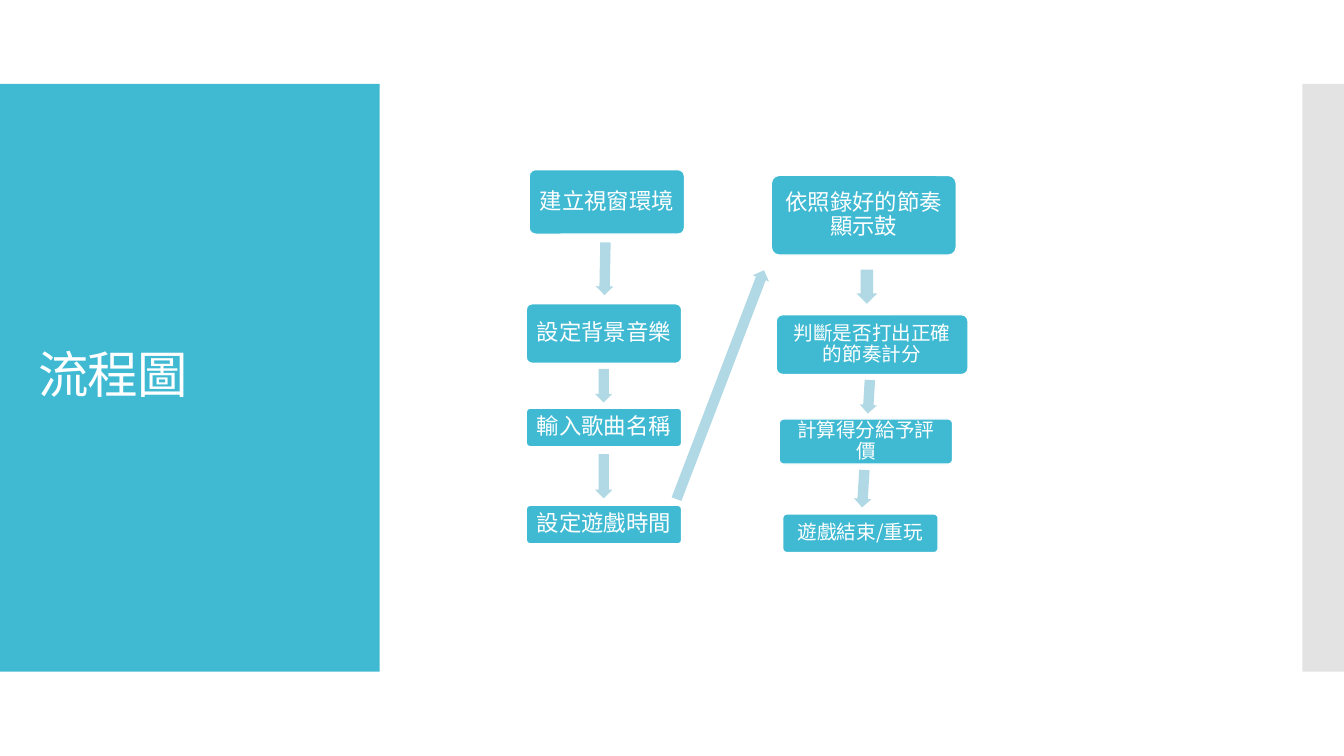
import pptx
import pptx.util
import pptx.dml.color
import pptx.enum.shapes
import pptx.enum.text
import pptx.oxml.ns
import lxml.etree

Pt = pptx.util.Pt
SHAPE = pptx.enum.shapes.MSO_SHAPE
ALIGN = pptx.enum.text.PP_ALIGN
TEAL, PALE_BLUE, GREY, WHITE = "40BAD2", "B0D9E5", "C8C8C8", "FFFFFF"


def add_filled(kind, left, top, width, height, fill):
    shape = slide.shapes.add_shape(kind, Pt(left), Pt(top), Pt(width), Pt(height))
    shape.shadow.inherit = False
    shape.fill.solid()
    shape.fill.fore_color.rgb = pptx.dml.color.RGBColor.from_string(fill)
    shape.line.fill.background()
    return shape


def write_text(shape, text, size, font, align, inset_x, inset_y):
    frame = shape.text_frame
    frame.text = text
    frame.word_wrap = True
    frame.vertical_anchor = pptx.enum.text.MSO_ANCHOR.MIDDLE
    frame.margin_left = frame.margin_right = Pt(inset_x)
    frame.margin_top = frame.margin_bottom = Pt(inset_y)
    para = frame.paragraphs[0]
    para.alignment = align
    para.line_spacing = 0.9
    span = para.runs[0]
    span.font.size = Pt(size)
    span.font.name = font
    span.font.color.rgb = pptx.dml.color.RGBColor.from_string(WHITE)
    east_asian = lxml.etree.SubElement(span.font._element, pptx.oxml.ns.qn("a:ea"))
    east_asian.set("typeface", "Noto Sans CJK SC")
    return span


deck = pptx.Presentation()
deck.slide_width = Pt(960)
deck.slide_height = Pt(540)
slide = deck.slides.add_slide(deck.slide_layouts[6])

add_filled(SHAPE.RECTANGLE, 0, 60, 271.2, 419.8, TEAL)
side_bar = add_filled(SHAPE.RECTANGLE, 930.2, 60, 29.8, 419.8, GREY)
bar_color = side_bar.fill._xPr.find(".//" + pptx.oxml.ns.qn("a:srgbClr"))
lxml.etree.SubElement(bar_color, pptx.oxml.ns.qn("a:alpha")).set("val", "50000")

title = slide.shapes.add_textbox(Pt(20.2), Pt(88.6), Pt(231.8), Pt(362.2))
title_span = write_text(title, "流程圖", 36, "Calibri", ALIGN.LEFT, 7.2, 3.6)
title_span.font._element.set("spc", "-60")

steps = [
    ("建立視窗環境", 16, 378, 121.2, 110.9, 46),
    ("設定背景音樂", 16, 376, 217, 110.9, 42.5),
    ("輸入歌曲名稱", 16, 376, 291.6, 110.9, 27.4),
    ("設定遊戲時間", 16, 376, 361, 110.9, 27.4),
    ("依照錄好的節奏顯示鼓", 16, 551, 125.3, 132, 56.9),
    ("判斷是否打出正確的節奏計分", 14, 554.6, 224.9, 136.8, 42.5),
    ("計算得分給予評價", 14, 556.6, 299.3, 123.8, 32.2),
    ("遊戲結束/重玩", 14, 559.2, 367.2, 110.9, 27.4),
]
for text, size, left, top, width, height in steps:
    box = add_filled(SHAPE.ROUNDED_RECTANGLE, left, top, width, height, TEAL)
    box.adjustments[0] = 0.1
    box.line.color.rgb = pptx.dml.color.RGBColor.from_string(WHITE)
    box.line.width = Pt(0.85)
    write_text(box, text, size, "Noto Sans CJK SC", ALIGN.CENTER, 5, 5)

arrows = [
    (413.3, 185.8, 37.6, 12.4, 91),
    (419.2, 269.3, 24, 12.4, 90),
    (415.4, 334, 31.6, 12.4, 90),
    (427, 268.6, 175, 12.4, 290.9),
    (607, 197.3, 24.4, 15, 90),
    (608.6, 277.2, 24, 12.4, 93.5),
    (603.2, 342.9, 26.8, 12.4, 93.6),
]
for left, top, length, thickness, angle in arrows:
    arrow = add_filled(SHAPE.RIGHT_ARROW, left, top, length, thickness, PALE_BLUE)
    arrow.adjustments[0] = 0.6
    arrow.adjustments[1] = 0.5
    arrow.rotation = angle

deck.save("out.pptx")
